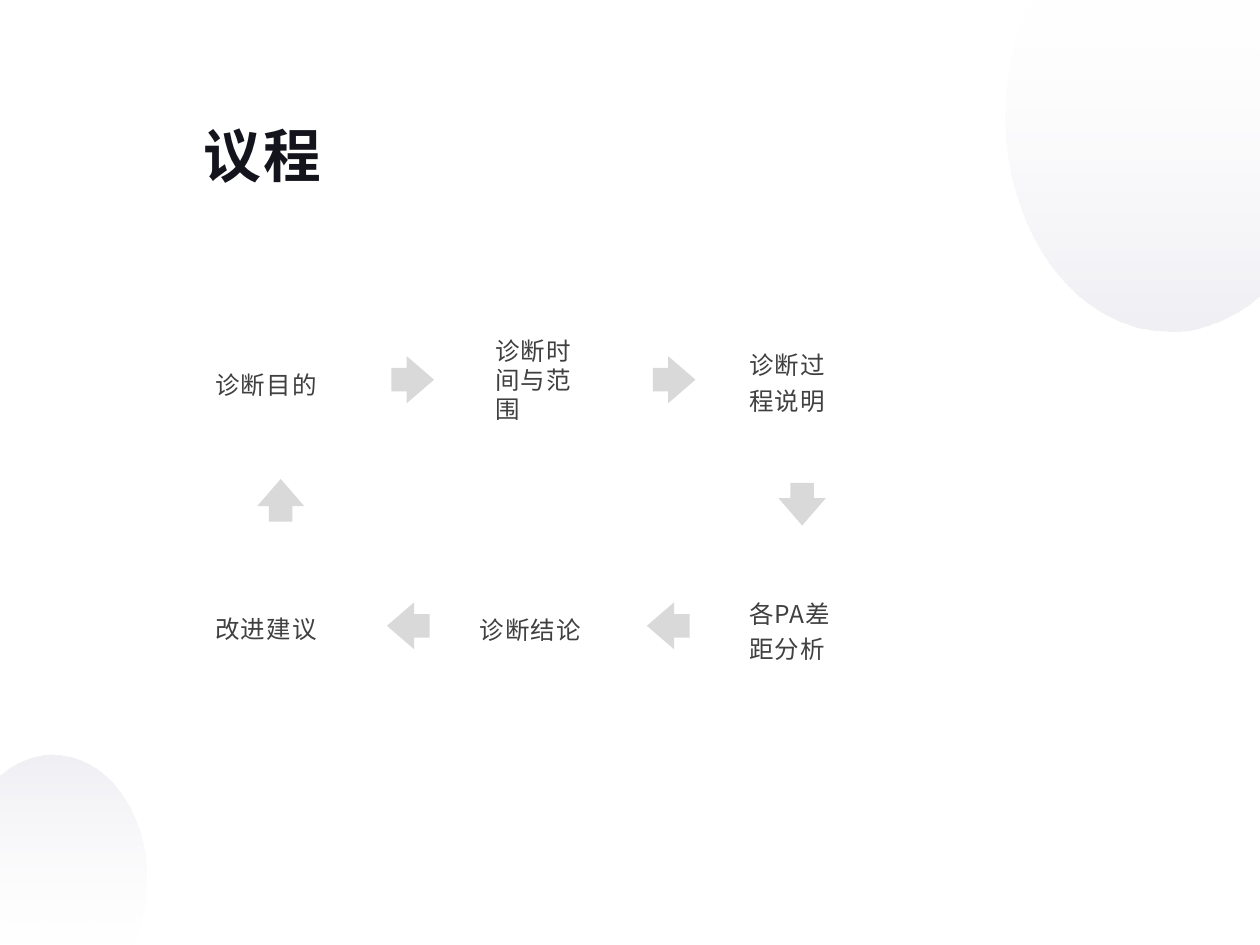
from lxml.etree import SubElement
from pptx import Presentation
from pptx.dml.color import RGBColor
from pptx.enum.shapes import MSO_SHAPE as Preset
from pptx.enum.text import MSO_ANCHOR as Anchor, PP_ALIGN as Align
from pptx.oxml.ns import qn
from pptx.util import Cm, Pt

INK = RGBColor(0x14, 0x14, 0x1D)
BODY = RGBColor(0x40, 0x40, 0x40)
ARROW = RGBColor(0xD9, 0xD9, 0xD9)
WHITE = RGBColor(0xFF, 0xFF, 0xFF)
LILAC = RGBColor(0xBE, 0xBE, 0xD2)

TITLE = ("议程", (3.97, 1.70, 5.41, 2.84))
STEP_HEIGHT = 2.01
STEPS = [
    ("诊断目的", 3.97, 6.69, 2.79, Align.CENTER, 1.2),
    ("诊断时间与范围", 9.80, 6.65, 2.31, Align.LEFT, None),
    ("诊断过程说明", 14.92, 6.65, 2.31, Align.LEFT, 1.2),
    ("各PA差距分析", 14.92, 11.66, 2.31, Align.LEFT, 1.2),
    ("诊断结论", 9.27, 11.64, 2.84, Align.CENTER, 1.2),
    ("改进建议", 3.69, 11.61, 3.35, Align.CENTER, 1.2),
]
ARROW_SIZE = (0.86, 0.95)
ARROWS = [
    (7.89, 7.18, 0),
    (13.16, 7.18, 0),
    (15.74, 9.69, 90),
    (13.04, 12.14, 180),
    (7.80, 12.14, 180),
    (5.23, 9.61, 270),
]
BUBBLES = [(20.27, 0, 1, 0), (0, 15.22, 0.574, 180)]
BUBBLE_EDGE = [(0.53, 0), (5.13, 0), (5.13, 5.94), (4.88, 6.15)]
BUBBLE_CURVES = [
    ((4.39, 6.48), (3.86, 6.68), (3.32, 6.68)),
    ((1.47, 6.68), (0, 4.75), (0, 2.34)),
    ((0, 1.60), (0.15, 0.89), (0.41, 0.28)),
]
BUBBLE_STOPS = [(WHITE, 10), (LILAC, 24)]


def bend_last_segments(shape, curves, scale):
    segments = list(shape._element.spPr.iter(qn("a:lnTo")))[len(BUBBLE_EDGE) - 1:]
    for segment, (*controls, _) in zip(segments, curves):
        segment.tag = qn("a:cubicBezTo")
        for index, (x, y) in enumerate(controls):
            control = SubElement(segment, qn("a:pt"), x=str(Cm(x * scale)), y=str(Cm(y * scale)))
            segment.insert(index, control)


def add_bubble(slide, left, top, scale, rotation):
    anchors = BUBBLE_EDGE + [curve[-1] for curve in BUBBLE_CURVES]
    points = [(Cm(x * scale), Cm(y * scale)) for x, y in anchors]
    builder = slide.shapes.build_freeform(*points[0])
    builder.add_line_segments(points[1:], close=True)
    bubble = builder.convert_to_shape(Cm(left), Cm(top))
    bend_last_segments(bubble, BUBBLE_CURVES, scale)
    bubble.rotation = rotation
    bubble.shadow.inherit = False
    bubble.line.fill.background()
    bubble.fill.gradient()
    bubble.fill.gradient_angle = 270
    for stop, (color, _) in zip(bubble.fill.gradient_stops, BUBBLE_STOPS):
        stop.color.rgb = color
    tints = bubble._element.spPr.iter(qn("a:srgbClr"))
    for tint, (_, opacity) in zip(tints, BUBBLE_STOPS):
        SubElement(tint, qn("a:alpha"), val=str(opacity * 1000))


def add_arrow(slide, left, top, rotation):
    arrow = slide.shapes.add_shape(
        Preset.RIGHT_ARROW, *(Cm(v) for v in (left, top, *ARROW_SIZE)))
    arrow.adjustments[0] = 0.5
    arrow.adjustments[1] = 0.639
    arrow.rotation = rotation
    arrow.shadow.inherit = False
    arrow.fill.solid()
    arrow.fill.fore_color.rgb = ARROW
    arrow.line.fill.background()


def add_label(slide, text, box, margins, size, face, color, tracking, bold=False):
    frame = slide.shapes.add_textbox(*(Cm(v) for v in box)).text_frame
    frame.word_wrap = True
    frame.vertical_anchor = Anchor.MIDDLE
    frame.margin_left = frame.margin_right = Cm(margins[0])
    frame.margin_top = frame.margin_bottom = Cm(margins[1])
    frame.text = text
    paragraph = frame.paragraphs[0]
    font = paragraph.runs[0].font
    font.size = Pt(size)
    font.bold = bold
    font.color.rgb = color
    font.name = face
    properties = paragraph.runs[0]._r.get_or_add_rPr()
    properties.set("spc", str(tracking))
    SubElement(properties, qn("a:ea"), typeface=face)
    return paragraph


def main():
    deck = Presentation()
    deck.slide_width, deck.slide_height = Cm(25.4), Cm(19.05)
    slide = deck.slides.add_slide(deck.slide_layouts[6])

    for bubble in BUBBLES:
        add_bubble(slide, *bubble)

    add_label(slide, *TITLE, (0.13, 0.05), 33, "Noto Sans CJK SC", INK, 160, bold=True)

    for arrow in ARROWS:
        add_arrow(slide, *arrow)

    for text, left, top, width, align, spacing in STEPS:
        step = add_label(slide, text, (left, top, width, STEP_HEIGHT),
                         (0.18, 0.10), 14, "Noto Sans CJK JP", BODY, 60)
        step.alignment = align
        step.line_spacing = spacing
        step.space_after = Pt(8)

    deck.save("out.pptx")


if __name__ == "__main__":
    main()
